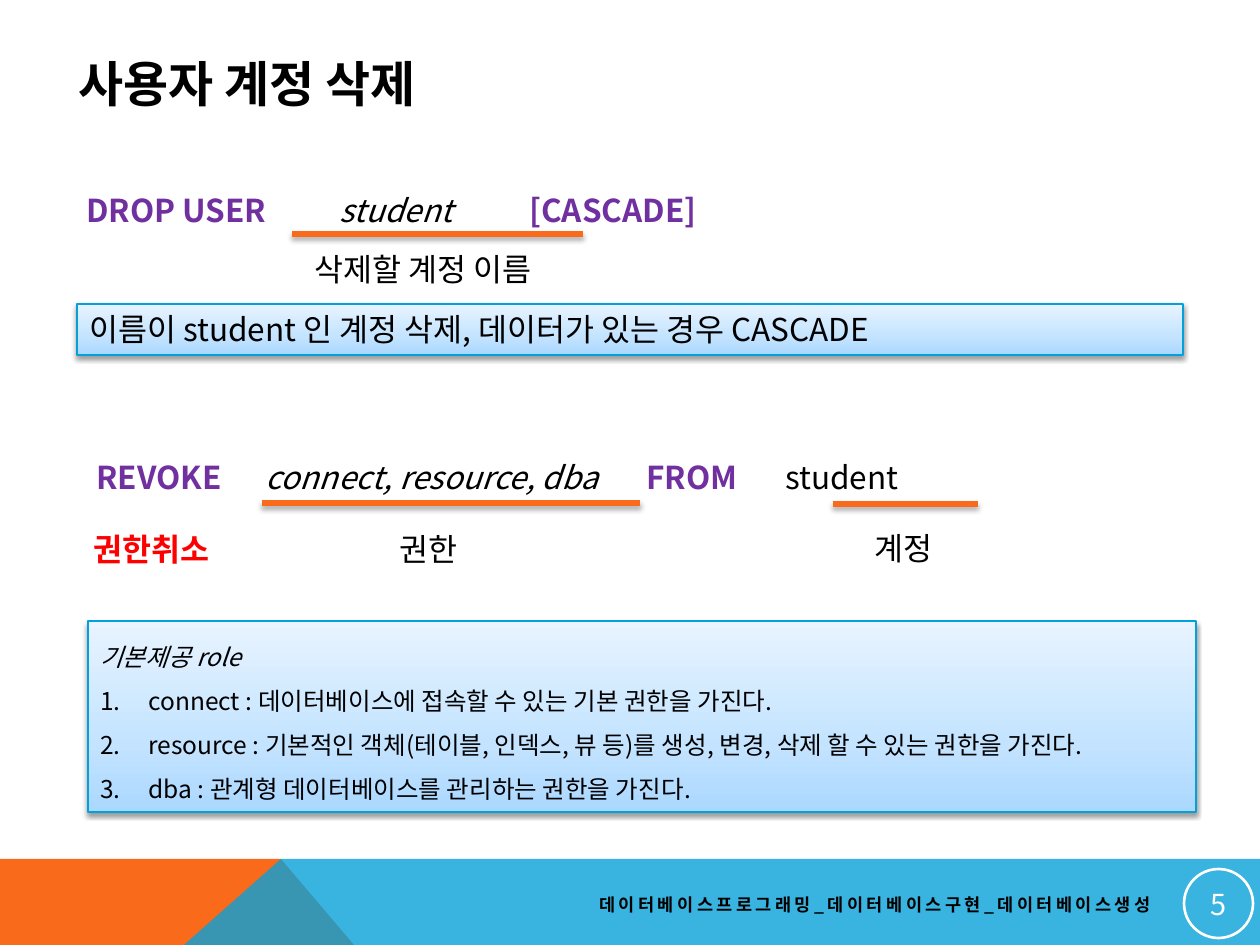
from copy import deepcopy

from lxml.etree import SubElement
from pptx import Presentation
from pptx.dml.color import RGBColor
from pptx.enum.shapes import MSO_CONNECTOR as Connector, MSO_SHAPE as Preset
from pptx.enum.text import MSO_ANCHOR as Anchor, PP_ALIGN as Align
from pptx.oxml.ns import qn
from pptx.util import Emu, Pt

FONT = "Noto Sans CJK KR"
BLACK, WHITE, RED, PURPLE = "000000", "FFFFFF", "FF0000", "7030A0"
ORANGE, BLUE, BORDER = "F96A1B", "08A1D9", "03A0D9"
PANEL_STOPS = ((0, "ABD8FF"), (0.35, "C3E3FF"), (1, "E8F4FF"))
ROLES = (
    "connect : 데이터베이스에 접속할 수 있는 기본 권한을 가진다.",
    "resource : 기본적인 객체(테이블, 인덱스, 뷰 등)를 생성, 변경, 삭제 할 수 있는 권한을 가진다.",
    "dba : 관계형 데이터베이스를 관리하는 권한을 가진다.",
)


def px(value):
    """Turn pixels at 126 to the inch into EMU."""
    return Emu(round(value * 914400 / 126))


def rgb(value):
    """Turn a hex string into a colour."""
    return RGBColor.from_string(value)


def style(paragraph, size, color=BLACK, bold=False, italic=False, align=Align.LEFT):
    """Set the font and alignment of a whole paragraph."""
    paragraph.alignment = align
    font = paragraph.font
    font.name, font.size, font.bold, font.italic = FONT, Pt(size), bold, italic
    font.color.rgb = rgb(color)
    SubElement(font._element, qn("a:ea"), typeface=FONT)


def add_text(slide, box, text, size=18, anchor=Anchor.TOP, **look):
    """Add a text box of one paragraph and return the paragraph."""
    frame = slide.shapes.add_textbox(*map(px, box)).text_frame
    frame.word_wrap = True
    frame.vertical_anchor = anchor
    paragraph = frame.paragraphs[0]
    paragraph.text = text
    style(paragraph, size, **look)
    return paragraph


def add_syntax(slide, box, parts, stops):
    """Add a command line whose parts stand at tab stops."""
    paragraph = add_text(slide, box, "")
    properties = paragraph._p.get_or_add_pPr()
    tabs = properties.makeelement(qn("a:tabLst"))
    properties.insert(0, tabs)
    for stop in stops:
        SubElement(tabs, qn("a:tab"), pos=str(px(stop)), algn="l")
    for index, (text, color, bold, italic) in enumerate(parts):
        run = paragraph.add_run()
        run.text = "\t" + text if index else text
        run.font.bold, run.font.italic = bold, italic
        run.font.color.rgb = rgb(color)


def add_shadow(shape, opacity, blur, distance):
    """Give a shape or connector a soft shadow straight below."""
    effects = SubElement(shape._element.spPr, qn("a:effectLst"))
    shadow = SubElement(effects, qn("a:outerShdw"), blurRad=str(Pt(blur)),
                        dist=str(Pt(distance)), dir="5400000", rotWithShape="0")
    color = SubElement(shadow, qn("a:srgbClr"), val=BLACK)
    SubElement(color, qn("a:alpha"), val=str(opacity * 1000))


def add_underline(slide, left, right, y):
    """Add a thick orange rule under a part of a command."""
    line = slide.shapes.add_connector(Connector.STRAIGHT, px(left), px(y), px(right), px(y))
    line.line.color.rgb = rgb(ORANGE)
    line.line.width = Pt(3)
    add_shadow(line, 35, 3.1, 1.8)


def add_panel(slide, box):
    """Add a gradient panel and return its text frame."""
    panel = slide.shapes.add_shape(Preset.RECTANGLE, *map(px, box))
    panel.fill.gradient()
    panel.fill.gradient_angle = 90
    stop_list = panel._element.spPr.find(qn("a:gradFill")).find(qn("a:gsLst"))
    stop_list.insert(1, deepcopy(stop_list[0]))
    for stop, (position, color) in zip(panel.fill.gradient_stops, PANEL_STOPS):
        stop.position = position
        stop.color.rgb = rgb(color)
    panel.line.color.rgb = rgb(BORDER)
    panel.line.width = Pt(0.75)
    add_shadow(panel, 38, 3.1, 1.6)
    frame = panel.text_frame
    frame.word_wrap = True
    frame.vertical_anchor = Anchor.TOP
    return frame


def add_roles(slide, box):
    """Add the panel with the numbered list of roles."""
    frame = add_panel(slide, box)
    for index, text in enumerate(("기본제공 role", *ROLES)):
        paragraph = frame.add_paragraph() if index else frame.paragraphs[0]
        paragraph.text = text
        paragraph.line_spacing = 1.5
        if index:
            properties = paragraph._p.get_or_add_pPr()
            properties.set("marL", str(px(48)))
            properties.set("indent", str(-px(48)))
            SubElement(properties, qn("a:buFont"), typeface="+mj-lt")
            SubElement(properties, qn("a:buAutoNum"), type="arabicPeriod")
        style(paragraph, 14, italic=index == 0)


def add_band(slide, points, color, opacity=100):
    """Add one filled polygon of the footer band."""
    builder = slide.shapes.build_freeform(*points[0], scale=914400 / 126)
    builder.add_line_segments(points[1:], close=True)
    band = builder.convert_to_shape()
    band.shadow.inherit = False
    band.fill.solid()
    band.fill.fore_color.rgb = rgb(color)
    band.line.fill.background()
    if opacity < 100:
        fill = band._element.spPr.find(qn("a:solidFill"))
        SubElement(fill[0], qn("a:alpha"), val=str(opacity * 1000))


def add_page_number(slide, box, number):
    """Add the ringed page number."""
    ring = slide.shapes.add_shape(Preset.OVAL, *map(px, box))
    ring.shadow.inherit = False
    ring.fill.background()
    ring.line.color.rgb = rgb(WHITE)
    ring.line.width = Pt(1.5)
    frame = ring.text_frame
    frame.margin_left = frame.margin_right = frame.margin_top = frame.margin_bottom = px(1)
    frame.vertical_anchor = Anchor.MIDDLE
    frame.paragraphs[0].text = number
    style(frame.paragraphs[0], 16.5, WHITE, align=Align.CENTER)


def main():
    """Build and save the slide."""
    presentation = Presentation()
    presentation.slide_width, presentation.slide_height = px(1260), px(945)
    slide = presentation.slides.add_slide(presentation.slide_layouts[6])

    add_band(slide, [(0, 859), (281, 859), (354, 945), (0, 945)], ORANGE)
    add_band(slide, [(184, 945), (281, 859), (1260, 859), (1260, 945)], BLUE, 80)
    add_page_number(slide, (1184, 869, 69, 69), "5")
    add_text(slide, (66, 45, 1036, 76), "사용자 계정 삭제", 28, Anchor.MIDDLE, bold=True)

    add_syntax(slide, (74, 185, 728, 50),
               [("DROP USER", PURPLE, True, False), ("student", BLACK, False, True),
                ("[CASCADE]", PURPLE, True, False)], (253, 443))
    add_underline(slide, 292, 583, 234)
    add_text(slide, (302, 244, 271, 50), "삭제할 계정 이름")
    note = add_panel(slide, (77, 304, 1106, 51)).paragraphs[0]
    note.text = "이름이 student 인 계정 삭제, 데이터가 있는 경우 CASCADE"
    style(note, 18)

    footer = add_text(slide, (512, 886, 651, 38),
                      "데이터베이스프로그래밍_데이터베이스구현_데이터베이스생성",
                      10, Anchor.MIDDLE, bold=True, align=Align.RIGHT)
    footer.font._element.set("spc", "200")

    add_syntax(slide, (84, 452, 912, 50),
               [("REVOKE", PURPLE, True, False), ("connect, resource, dba", BLACK, False, True),
                ("FROM", PURPLE, True, False), ("student", BLACK, False, False)],
               (169, 550, 689))
    add_underline(slide, 833, 978, 504)
    add_text(slide, (859, 523, 89, 50), "계정", align=Align.CENTER)
    add_underline(slide, 262, 640, 503)
    add_text(slide, (387, 524, 89, 50), "권한")
    add_text(slide, (81, 524, 152, 50), "권한취소", color=RED, bold=True)
    add_roles(slide, (88, 621, 1108, 191))

    presentation.save("out.pptx")


if __name__ == "__main__":
    main()
